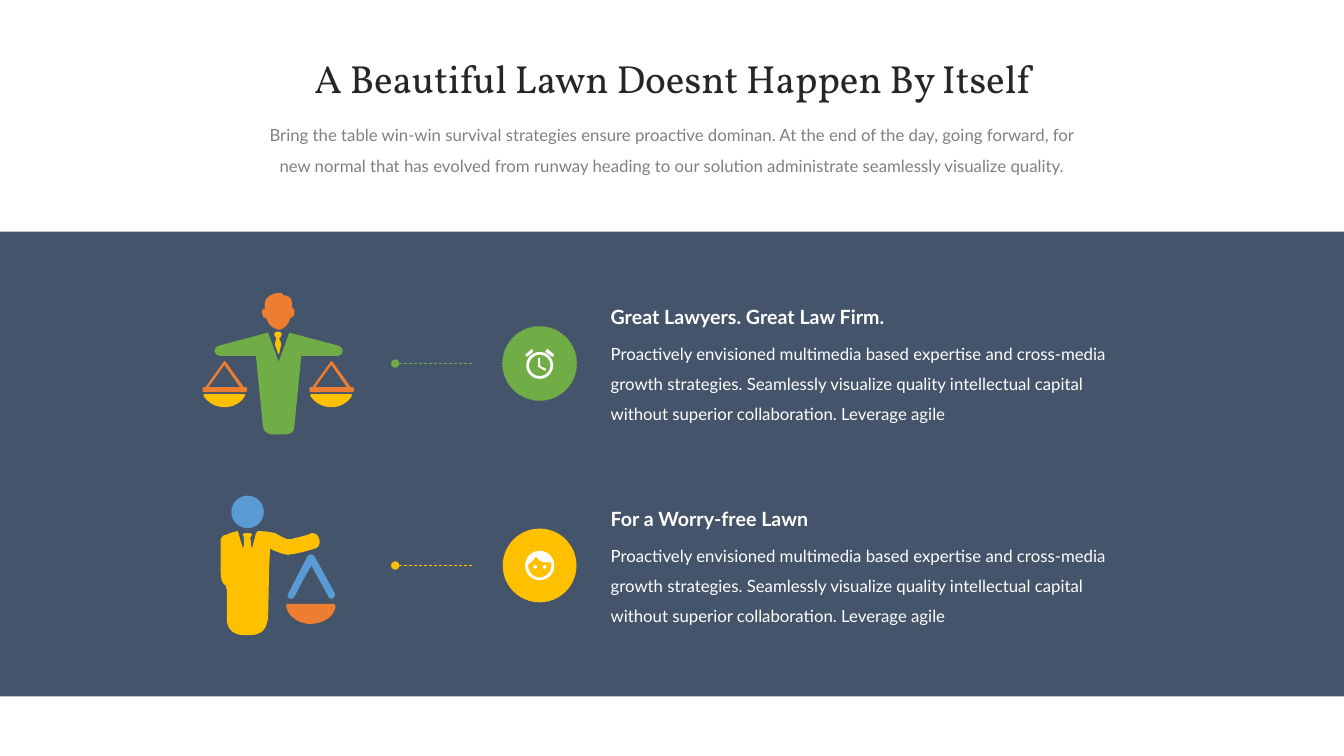
from math import cos, sin, pi
from lxml.etree import SubElement
from pptx import Presentation
from pptx.dml.color import RGBColor as RGB
from pptx.enum.dml import MSO_LINE as Dash
from pptx.enum.shapes import MSO_CONNECTOR as Conn, MSO_SHAPE as Kind
from pptx.enum.text import MSO_ANCHOR as Anchor, MSO_AUTO_SIZE as Auto, PP_ALIGN as Align
from pptx.oxml.ns import qn
from pptx.util import Cm, Pt

HUES = {"navy": "44546A", "green": "70AD47", "gold": "FFC000", "blue": "5B9BD5",
        "rust": "ED7D31", "white": "FFFFFF", "gray": "808080", "ink": "262626"}
BODY = ("Proactively envisioned multimedia based expertise and cross-media growth "
        "strategies. Seamlessly visualize quality intellectual capital without "
        "superior collaboration. Leverage agile")
FINE = 100   # sub-steps per art unit; an art unit is 0.0254 cm


def ring(x, y, r):
    return [(x + r * cos(k * pi / 18), y + r * sin(k * pi / 18)) for k in range(36)]


def bend(path):
    """Pairs are corners; six numbers are a cubic curve, cut into short steps."""
    out = [path[0]]
    for step in path[1:]:
        if len(step) == 2:
            out.append(step)
            continue
        a, b, c, d = out[-1], step[:2], step[2:4], step[4:]
        for k in range(1, 9):
            t = k / 8
            u = 1 - t
            out.append(tuple(u**3 * a[i] + 3 * u * u * t * b[i] + 3 * u * t * t * c[i]
                             + t**3 * d[i] for i in (0, 1)))
    return [(x * FINE, y * FINE) for x, y in out]


class Deck:
    def __init__(self):
        self.prs = Presentation()
        self.prs.slide_width, self.prs.slide_height = Cm(33.87), Cm(19.05)
        self.slide = self.prs.slides.add_slide(self.prs.slide_layouts[6])
        self.items = self.slide.shapes

    def hue(self, name):
        return RGB.from_string(HUES[name])

    def paint(self, item, hue):
        item.shadow.inherit = False
        item.fill.solid()
        item.fill.fore_color.rgb = self.hue(hue)
        item.line.fill.background()
        return item

    def shape(self, kind, x, y, w, h, hue):
        return self.paint(self.items.add_shape(kind, Cm(x), Cm(y), Cm(w), Cm(h)), hue)

    def art(self, hue, *paths, dx=0):
        pen = None
        for path in paths:
            pts = [(x + dx * FINE, y) for x, y in bend(path)]
            if pen is None:
                pen = self.items.build_freeform(*pts[0], scale=Cm(2.54) / (100 * FINE))
            else:
                pen.move_to(*pts[0])
            pen.add_line_segments(pts[1:], close=True)
        return self.paint(pen.convert_to_shape(), hue)

    def text(self, words, x, y, w, h, size, hue, font="Lato", bold=False,
             align=Align.LEFT, anchor=Anchor.MIDDLE, space=None):
        box = self.items.add_textbox(Cm(x), Cm(y), Cm(w), Cm(h))
        frame = box.text_frame
        frame.text = words
        frame.word_wrap = True
        frame.auto_size = Auto.SHAPE_TO_FIT_TEXT
        frame.vertical_anchor = anchor
        frame.margin_left = frame.margin_right = frame.margin_top = frame.margin_bottom = 0
        para = frame.paragraphs[0]
        para.alignment = align
        if space:
            para.line_spacing = space
        face = para.runs[0].font
        face.name, face.size, face.bold = font, Pt(size), bold
        face.color.rgb = self.hue(hue)

    def lead(self, x, y, end, hue):
        line = self.items.add_connector(Conn.STRAIGHT, Cm(x), Cm(y), Cm(end), Cm(y))
        line.line.color.rgb = self.hue(hue)
        line.line.width = Pt(0.5)
        line.line.dash_style = Dash.DASH
        props = line.line._get_or_add_ln()
        SubElement(props, qn("a:headEnd"), type="oval")
        SubElement(line._element.spPr, qn("a:effectLst"))


def heading(deck):
    deck.shape(Kind.RECTANGLE, 0, 5.84, 33.87, 11.71, "navy")
    deck.text("Bring the table win-win survival strategies ensure proactive dominan. At the "
              "end of the day, going forward, for new normal that has evolved from runway "
              "heading to our solution administrate seamlessly visualize quality.",
              6.35, 2.9, 21.18, 1.45, 12, "gray", align=Align.CENTER,
              anchor=Anchor.TOP, space=1.5)
    deck.text("A Beautiful Lawn Doesnt Happen By Itself", 6.35, 1.47, 21.18, 1.09, 28,
              "ink", "Vollkorn", align=Align.CENTER, space=Pt(30))


def rows(deck):
    for k, (title, hue) in enumerate([("Great Lawyers. Great Law Firm.", "green"),
                                      ("For a Worry-free Lawn", "gold")]):
        y = 5.09 * k
        deck.text(title, 15.39, 7.67 + y, 13.36, 0.61, 14, "white", bold=True)
        deck.text(BODY, 15.39, 8.43 + y, 13.36, 2.24, 12, "white", space=1.5)
        disc = deck.shape(Kind.OVAL, 12.67, 8.23 + y, 1.86, 1.86, hue)
        if hue == "green":
            disc.line.color.rgb = deck.hue(hue)
            disc.line.width = Pt(1)
            disc.line.dash_style = Dash.ROUND_DOT
        deck.lead(9.96, 9.16 + y, 11.94, hue)


def icons(deck):
    # Alarm clock
    deck.art("white", ring(535.5, 362.5, 13.3), ring(535.5, 362.5, 10.6),
             [(536, 355), (536, 363), (542, 366), (541, 368), (534, 364), (534, 355)],
             [(529, 349), (523, 354), (521, 352), (528, 346)],
             [(550, 352), (548, 354), (541, 349), (543, 346)])
    # Face
    deck.art("white", ring(535.5, 561, 14.5), ring(540.3, 562.4, 1.7), ring(531, 562.4, 1.7),
             [(535, 573), (542, 573, 547, 567, 547, 561), (547, 560, 547, 559, 547, 558),
              (546, 558, 544, 558, 543, 558), (538, 558, 534, 556, 532, 552),
              (530, 555, 527, 558, 524, 560), (524, 560, 524, 561, 524, 561),
              (524, 567, 529, 573, 535, 573)])


def balance(deck):
    # Head, suit and tie
    deck.art("rust", [
        (288, 315), (290, 316, 291, 314, 292, 312), (292, 309, 293, 306, 290, 306),
        (290, 298, 289, 293, 281, 293), (280, 291, 279, 290, 276, 291), (274, 291),
        (266, 293, 261, 297, 263, 307), (261, 306, 260, 307, 260, 311),
        (261, 315, 262, 316, 264, 315), (264, 316, 264, 317, 265, 317),
        (266, 322, 271, 326, 276, 327), (278, 327), (284, 325, 287, 320, 288, 315)])
    deck.art("green", [
        (340, 348), (340, 346, 338, 344, 336, 343), (287, 330), (276.5, 359), (266, 330),
        (217, 343), (215, 344, 213, 346, 213, 348), (213, 351, 216, 353, 218, 353),
        (254, 353), (261, 424), (262, 428, 266, 431, 270, 431), (283, 431),
        (288, 431, 292, 428, 292, 424), (299, 353), (335, 353),
        (337, 353, 340, 351, 340, 348)])
    deck.art("gold", [
        (276, 329), (272, 329, 271, 332, 274, 335), (274, 336), (273, 340), (273, 342),
        (276, 351), (277, 351), (279, 342), (279, 340), (277, 336),
        (281, 332, 280, 329, 276, 329)])
    # Pans on both hands
    for dx in (0, 106):
        deck.art("gold", [
            (242, 391), (203, 391), (202, 391, 202, 392, 202, 393),
            (207, 400, 214, 404, 223, 404), (231, 404, 239, 400, 243, 393),
            (244, 393, 243, 391, 242, 391)], dx=dx)
        deck.art("rust", [
            (244, 384), (242, 384), (224, 359), (223, 358), (222, 359), (204, 384),
            (202, 384), (201, 385), (201, 388), (202, 389), (244, 389), (245, 388), (245, 385)],
            [(207, 384), (222.7, 362), (238, 384)], dx=dx)


def judge(deck):
    # Suit
    deck.art("gold", [
        (317, 536), (316, 532, 314, 529, 310, 529), (309, 529, 308, 529, 307, 530),
        (301, 532, 296, 533, 292, 534), (289, 535, 288, 535, 286, 535),
        (281, 534, 277, 531, 273, 529), (269, 528, 264, 527, 258, 527), (256, 527),
        (254, 529), (250, 544), (249, 541), (249, 536), (248, 534), (250, 531), (249, 529),
        (242, 529), (241, 531), (242, 533), (242, 541), (241, 544), (238, 534), (236, 527),
        (235, 527), (231, 528), (223, 531), (221, 531, 220, 533, 219, 535), (219, 541),
        (219, 569), (219, 573, 220, 579, 224, 581), (225, 585), (225, 614),
        (225, 619, 227, 624, 231, 627), (234, 629, 237, 630, 242, 630), (249, 630),
        (258, 630, 264, 625, 265, 617), (266, 614), (267, 564), (268, 544),
        (271, 546), (279, 549), (283, 550, 286, 551, 288, 550),
        (296, 549, 304, 547, 313, 544), (316, 543, 318, 539, 317, 536)])
    # Head
    deck.shape(Kind.OVAL, 5.83, 12.49, 0.82, 0.82, "blue")
    # Hanger and pan
    deck.art("blue", [
        (289, 594), (291, 594, 292, 592, 292, 592), (301, 575), (309, 561), (326, 592),
        (327, 594, 329, 594, 329, 594), (331, 594, 333, 591, 332, 588), (312, 552),
        (311, 550, 307, 549, 305, 552), (286, 589), (284, 592, 287, 594, 289, 594)])
    deck.art("rust", [
        (332, 599), (284, 599), (284, 600), (284, 605, 287, 610, 291, 613),
        (296, 617, 302, 619, 308, 619), (314, 619, 320, 617, 325, 614),
        (329, 611, 332, 607, 333, 602)])


def main():
    deck = Deck()
    for part in (heading, rows, icons, balance, judge):
        part(deck)
    deck.prs.save("out.pptx")


if __name__ == "__main__":
    main()
